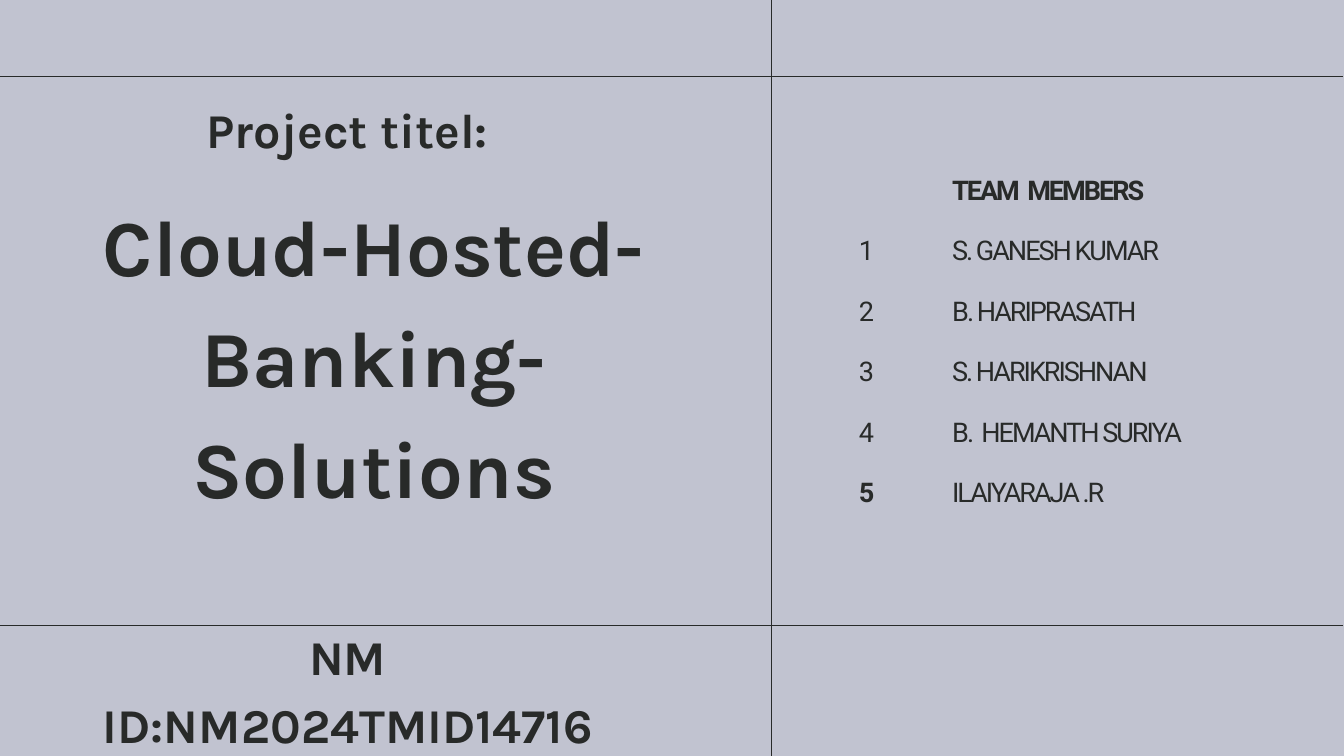
"""Build the project title slide with its team member table."""
from lxml import etree
from pptx import Presentation, util as u
from pptx.dml.color import RGBColor
from pptx.enum import shapes, text
from pptx.oxml.ns import qn

THEME = {
    "ink": RGBColor.from_string("282A29"),
    "paper": RGBColor.from_string("C1C3D0"),
    "display": "Karla",
    "body": "Roboto",
    "title": 85,
    "label": 52,
    "member": 29,
    "rule": 1.5,
    "no_style": "{2D5ABB26-0587-4C30-8999-92F81FD0307C}",
}
WIDTH, HEIGHT = 20, 11.25
LINE_RATIO = 1.4

HEADINGS = [
    ("Cloud-Hosted-Banking-Solutions", "title", (0.87, 2.7, 9.38, 6.61)),
    ("Project titel:", "label", (0.58, 1.35, 9.18, 1.01)),
    ("NM ID:NM2024TMID14716", "label", (1.53, 9.19, 7.29, 3.03)),
]
RULES = [
    (0, 9.31, 19.98, 9.31),
    (11.48, HEIGHT, 11.48, 0),
    (0, 1.14, 19.98, 1.14),
]
MEMBERS = [
    "S. GANESH KUMAR",
    "B. HARIPRASATH",
    "S. HARIKRISHNAN",
    "B.  HEMANTH SURIYA",
    "ILAIYARAJA .R",
]
ROWS = [("", ""), ("", ""), ("", "TEAM  MEMBERS")]
ROWS += [(str(number), name) for number, name in enumerate(MEMBERS, 1)]
ROWS += [("", ""), ("", "")]
BOLD = {"TEAM  MEMBERS", "5"}
TABLE_PLACE = (12.57, 0.43, 5.61, 5.24)
COLUMN_WIDTHS = [1.39, 4.22]
ROW_HEIGHTS = [0.9] * 8 + [0.57] * 2


def style_paragraph(para, font, size, bold, spacing):
    para.line_spacing = u.Pt(spacing)
    for span in para.runs:
        span.font.name = font
        span.font.size = u.Pt(size)
        span.font.bold = bold
        span.font.color.rgb = THEME["ink"]


def add_heading(page, words, role, place):
    box = page.shapes.add_textbox(*map(u.Inches, place))
    frame = box.text_frame
    frame.word_wrap = True
    frame.margin_left = frame.margin_right = 0
    frame.margin_top = frame.margin_bottom = 0
    frame.text = words
    para = frame.paragraphs[0]
    para.alignment = text.PP_ALIGN.CENTER
    size = THEME[role]
    style_paragraph(para, THEME["display"], size, True, size * LINE_RATIO)


def add_rule(page, ends):
    rule = page.shapes.add_connector(
        shapes.MSO_CONNECTOR.STRAIGHT, *map(u.Inches, ends))
    rule.line.color.rgb = THEME["ink"]
    rule.line.width = u.Pt(THEME["rule"])
    etree.SubElement(rule._element.spPr, qn("a:effectLst"))


def fill_cell(cell, words):
    cell.fill.background()
    if not words:
        return
    cell.vertical_anchor = text.MSO_ANCHOR.BOTTOM
    cell.margin_left = cell.margin_right = u.Inches(0.21)
    cell.margin_top = cell.margin_bottom = u.Inches(0.05)
    cell.text_frame.text = words
    para = cell.text_frame.paragraphs[0]
    size = THEME["member"]
    style_paragraph(para, THEME["body"], size, words in BOLD, size * 1.2)
    for span in para.runs:
        span.font._element.set("spc", "-220")


def add_team(page):
    table = page.shapes.add_table(
        len(ROWS), len(COLUMN_WIDTHS), *map(u.Inches, TABLE_PLACE)).table
    table.first_row = table.horz_banding = False
    table._tbl.tblPr.find(qn("a:tableStyleId")).text = THEME["no_style"]
    for column, width in zip(table.columns, COLUMN_WIDTHS):
        column.width = u.Inches(width)
    for row, height, words in zip(table.rows, ROW_HEIGHTS, ROWS):
        row.height = u.Inches(height)
        for cell, entry in zip(row.cells, words):
            fill_cell(cell, entry)


def main():
    deck = Presentation()
    deck.slide_width, deck.slide_height = u.Inches(WIDTH), u.Inches(HEIGHT)
    page = deck.slides.add_slide(deck.slide_layouts[6])
    page.background.fill.solid()
    page.background.fill.fore_color.rgb = THEME["paper"]
    add_team(page)
    for ends in RULES:
        add_rule(page, ends)
    for heading in HEADINGS:
        add_heading(page, *heading)
    deck.save("out.pptx")


if __name__ == "__main__":
    main()
